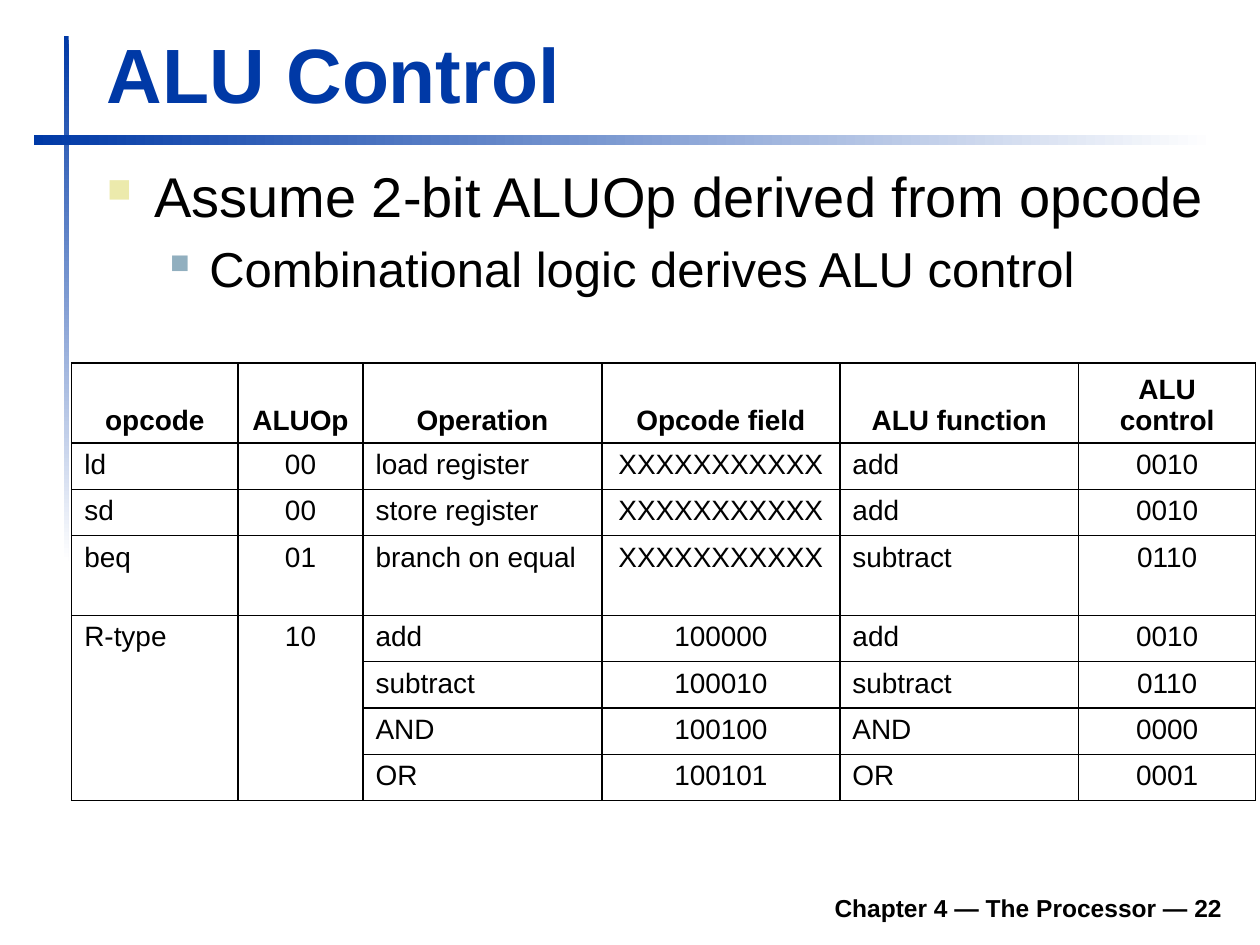
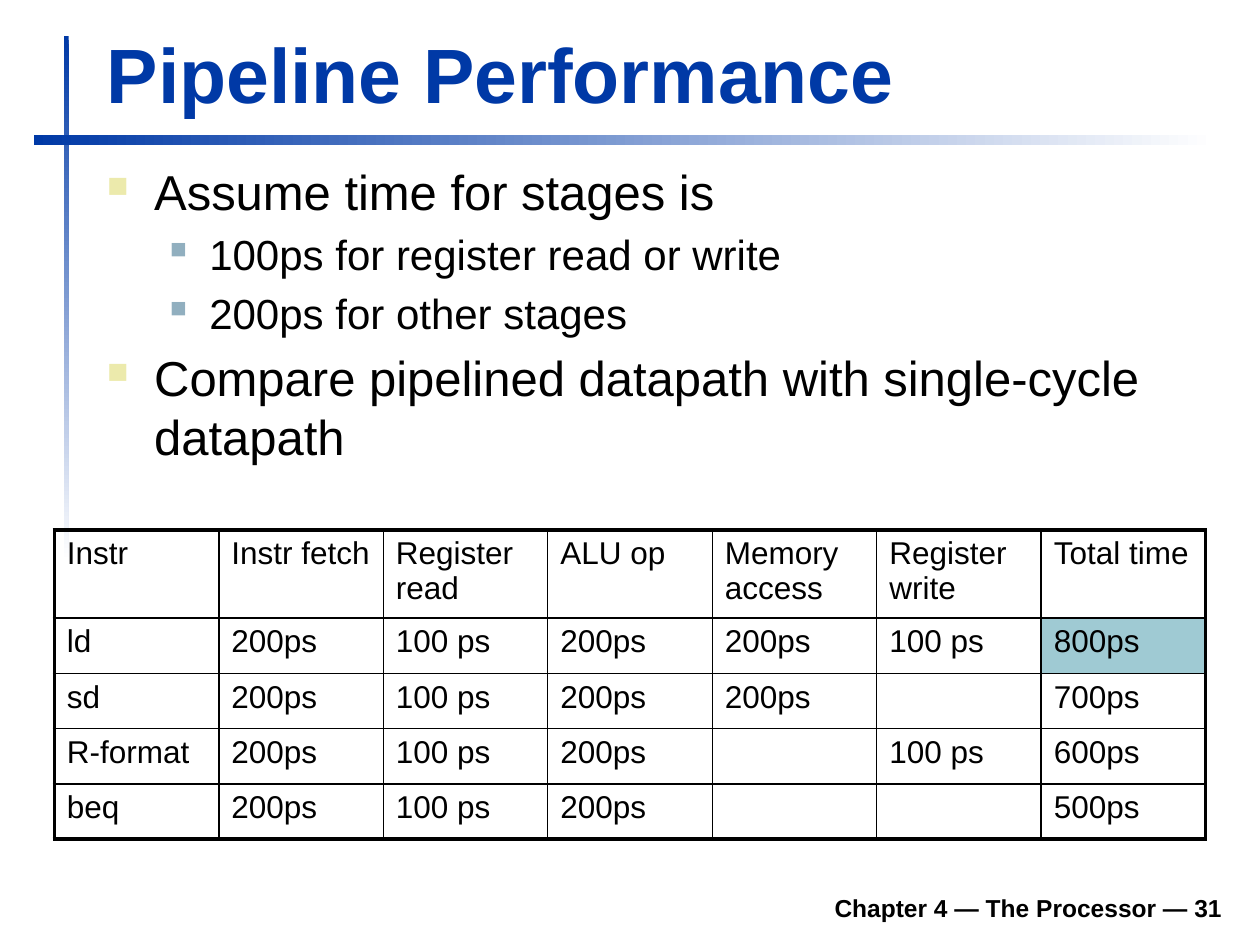
from dataclasses import dataclass
from typing import Any

from lxml.etree import SubElement
from pptx import Presentation
from pptx.dml.color import RGBColor
from pptx.enum.shapes import MSO_SHAPE
from pptx.enum.text import MSO_ANCHOR, PP_ALIGN
from pptx.oxml import parse_xml
from pptx.oxml.ns import nsdecls, qn
from pptx.util import Pt

FONT = "Arial"
COLORS = {
    "blue": "0039A6",
    "white": "FFFFFF",
    "black": "000000",
    "cream": "ECEAAC",
    "steel": "91AFBF",
    "teal": "9FCAD3",
}
ALIGN = {"l": PP_ALIGN.LEFT, "c": PP_ALIGN.CENTER, "r": PP_ALIGN.RIGHT}


@dataclass(frozen=True)
class Box:
    left: float
    top: float
    width: float
    height: float


@dataclass(frozen=True)
class Band:
    box: Box
    angle: int


@dataclass(frozen=True)
class Bullet:
    margin: float
    hang: float
    color: str
    scale: int


@dataclass(frozen=True)
class Item:
    level: int
    size: int
    text: str


@dataclass(frozen=True)
class Grid:
    left: float
    top: float
    cols: list[float]
    rows: list[float]
    cells: list[list[str]]
    size: int
    aligns: str
    edge: float = 1
    rule: float = 1
    title: bool = False  # bold, centred heading row
    merges: tuple[tuple[int, int, int], ...] = ()  # column, first row, last row
    tints: tuple[tuple[int, int], ...] = ()


@dataclass(frozen=True)
class Page:
    title: str
    number: int
    body: Box
    items: list[Item]
    grid: Grid


# Shared slide parts
BANDS = [Band(Box(36.72, 20.5, 2.5, 300), 270), Band(Box(19.5, 77, 675, 6), 0)]
TITLE = Box(54, 11.5, 650, 60)
FOOT = Box(133, 502.5, 572.5, 28)
LEVELS = [Bullet(27, 27, "cream", 60), Bullet(58.5, 22.5, "steel", 55)]

MASK = "X" * 11
CONTROL = Grid(
    41, 207.5, [95, 71.5, 136.5, 136, 136.5, 101],
    [45.6, 26.5, 26.5, 45.6] + [26.5] * 4,
    [
        ["opcode", "ALUOp", "Operation", "Opcode field", "ALU function", "ALU control"],
        ["ld", "00", "load register", MASK, "add", "0010"],
        ["sd", "00", "store register", MASK, "add", "0010"],
        ["beq", "01", "branch on equal", MASK, "subtract", "0110"],
        ["R-type", "10", "add", "100000", "add", "0010"],
        ["", "", "subtract", "100010", "subtract", "0110"],
        ["", "", "AND", "100100", "AND", "0000"],
        ["", "", "OR", "100101", "OR", "0001"],
    ],
    16, "lclclc", title=True, merges=((0, 4, 7), (1, 4, 7)),
)
TIMES = Grid(
    31, 302.75, [94] * 7, [50.3] + [31.6] * 4,
    [
        ["Instr", "Instr fetch", "Register read", "ALU op",
         "Memory access", "Register write", "Total time"],
        ["ld", "200ps", "100 ps", "200ps", "200ps", "100 ps", "800ps"],
        ["sd", "200ps", "100 ps", "200ps", "200ps", "", "700ps"],
        ["R-format", "200ps", "100 ps", "200ps", "", "100 ps", "600ps"],
        ["beq", "200ps", "100 ps", "200ps", "", "", "500ps"],
    ],
    18, "l" * 7, edge=2.25, rule=1.5, tints=((1, 6),),
)
PAGES = [
    Page("ALU Control", 22, Box(54, 88.5, 651.5, 402.5), [
        Item(0, 32, "Assume 2-bit ALUOp derived from opcode"),
        Item(1, 28, "Combinational logic derives ALU control"),
    ], CONTROL),
    Page("Pipeline Performance", 31, Box(54, 88.5, 651.5, 199.5), [
        Item(0, 28, "Assume time for stages is"),
        Item(1, 24, "100ps for register read or write"),
        Item(1, 24, "200ps for other stages"),
        Item(0, 28, "Compare pipelined datapath with single-cycle datapath"),
    ], TIMES),
]


def tone(name: str) -> RGBColor:
    return RGBColor.from_string(COLORS[name])


def apply(target: Any, values: dict[str, Any]) -> None:
    for name, value in values.items():
        setattr(target, name, value)


def place(box: Box) -> tuple[Pt, Pt, Pt, Pt]:
    return Pt(box.left), Pt(box.top), Pt(box.width), Pt(box.height)


def write(para: Any, text: str, size: int, bold: bool = False,
          color: str = "black", align: str = "l") -> None:
    para.alignment = ALIGN[align]
    run = para.add_run()
    run.text = text
    apply(run.font, {"name": FONT, "size": Pt(size), "bold": bold})
    run.font.color.rgb = tone(color)


def space(para: Any) -> Any:
    """Set the gap above to 20 % and return the paragraph properties."""
    props = para._p.get_or_add_pPr()
    before = SubElement(props, qn("a:spcBef"))
    SubElement(before, qn("a:spcPct")).set("val", "20000")
    return props


def mark(para: Any, bullet: Bullet) -> None:
    props = space(para)
    props.set("marL", str(Pt(bullet.margin)))
    props.set("indent", str(-Pt(bullet.hang)))
    color = SubElement(props, qn("a:buClr"))
    SubElement(color, qn("a:srgbClr")).set("val", COLORS[bullet.color])
    SubElement(props, qn("a:buSzPct")).set("val", str(bullet.scale * 1000))
    SubElement(props, qn("a:buChar")).set("char", "■")


def frame(slide: Any, box: Box, anchor: Any) -> Any:
    text = slide.shapes.add_textbox(*place(box)).text_frame
    apply(text, {"word_wrap": True, "vertical_anchor": anchor})
    return text


def stripe(slide: Any, band: Band) -> None:
    shape = slide.shapes.add_shape(MSO_SHAPE.RECTANGLE, *place(band.box))
    shape.shadow.inherit = False
    shape.line.fill.background()
    shape.fill.gradient()
    shape.fill.gradient_angle = band.angle
    for stop, name in zip(shape.fill.gradient_stops, ("blue", "white")):
        stop.color.rgb = tone(name)


def border(cell: Any, widths: dict[str, float]) -> None:
    props = cell._tc.get_or_add_tcPr()
    for spot, (side, width) in enumerate(widths.items()):
        props.insert(spot, parse_xml(
            f'<a:ln{side} {nsdecls("a")} w="{Pt(width)}"><a:solidFill>'
            f'<a:srgbClr val="{COLORS["black"]}"/></a:solidFill></a:ln{side}>'))


def draw(slide: Any, grid: Grid) -> None:
    count, wide = len(grid.rows), len(grid.cols)
    box = Box(grid.left, grid.top, sum(grid.cols), sum(grid.rows))
    table = slide.shapes.add_table(count, wide, *place(box)).table
    apply(table, {"first_row": False, "horz_banding": False})
    for col, width in zip(table.columns, grid.cols):
        col.width = Pt(width)
    for row, height in zip(table.rows, grid.rows):
        row.height = Pt(height)

    # Cells: heavier lines outside and below the heading row
    lines = [grid.edge, grid.rule] + [1] * (count - 2) + [grid.edge]
    posts = [grid.edge] + [1] * (wide - 1) + [grid.edge]
    for y, texts in enumerate(grid.cells):
        head = grid.title and y == 0
        for x, text in enumerate(texts):
            cell = table.cell(y, x)
            para = cell.text_frame.paragraphs[0]
            write(para, text, grid.size, head, align="c" if head else grid.aligns[x])
            space(para)
            cell.vertical_anchor = MSO_ANCHOR.BOTTOM if head else MSO_ANCHOR.TOP
            if (y, x) in grid.tints:
                cell.fill.solid()
                cell.fill.fore_color.rgb = tone("teal")
            else:
                cell.fill.background()
            border(cell, {"L": posts[x], "R": posts[x + 1],
                          "T": lines[y], "B": lines[y + 1]})
    for x, first, last in grid.merges:
        table.cell(first, x).merge(table.cell(last, x))


def build(deck: Any, page: Page) -> None:
    slide = deck.slides.add_slide(deck.slide_layouts[6])
    for band in BANDS:
        stripe(slide, band)
    foot = frame(slide, FOOT, MSO_ANCHOR.BOTTOM)
    write(foot.paragraphs[0], f"Chapter 4 — The Processor — {page.number}",
          14, True, align="r")
    title = frame(slide, TITLE, MSO_ANCHOR.BOTTOM)
    write(title.paragraphs[0], page.title, 44, True, "blue")

    # Bulleted text
    body = frame(slide, page.body, MSO_ANCHOR.TOP)
    for spot, item in enumerate(page.items):
        para = body.add_paragraph() if spot else body.paragraphs[0]
        para.level = item.level
        write(para, item.text, item.size)
        mark(para, LEVELS[item.level])
    draw(slide, page.grid)


def main() -> None:
    deck = Presentation()
    apply(deck, {"slide_width": Pt(720), "slide_height": Pt(540)})
    for page in PAGES:
        build(deck, page)
    deck.save("out.pptx")


if __name__ == "__main__":
    main()
